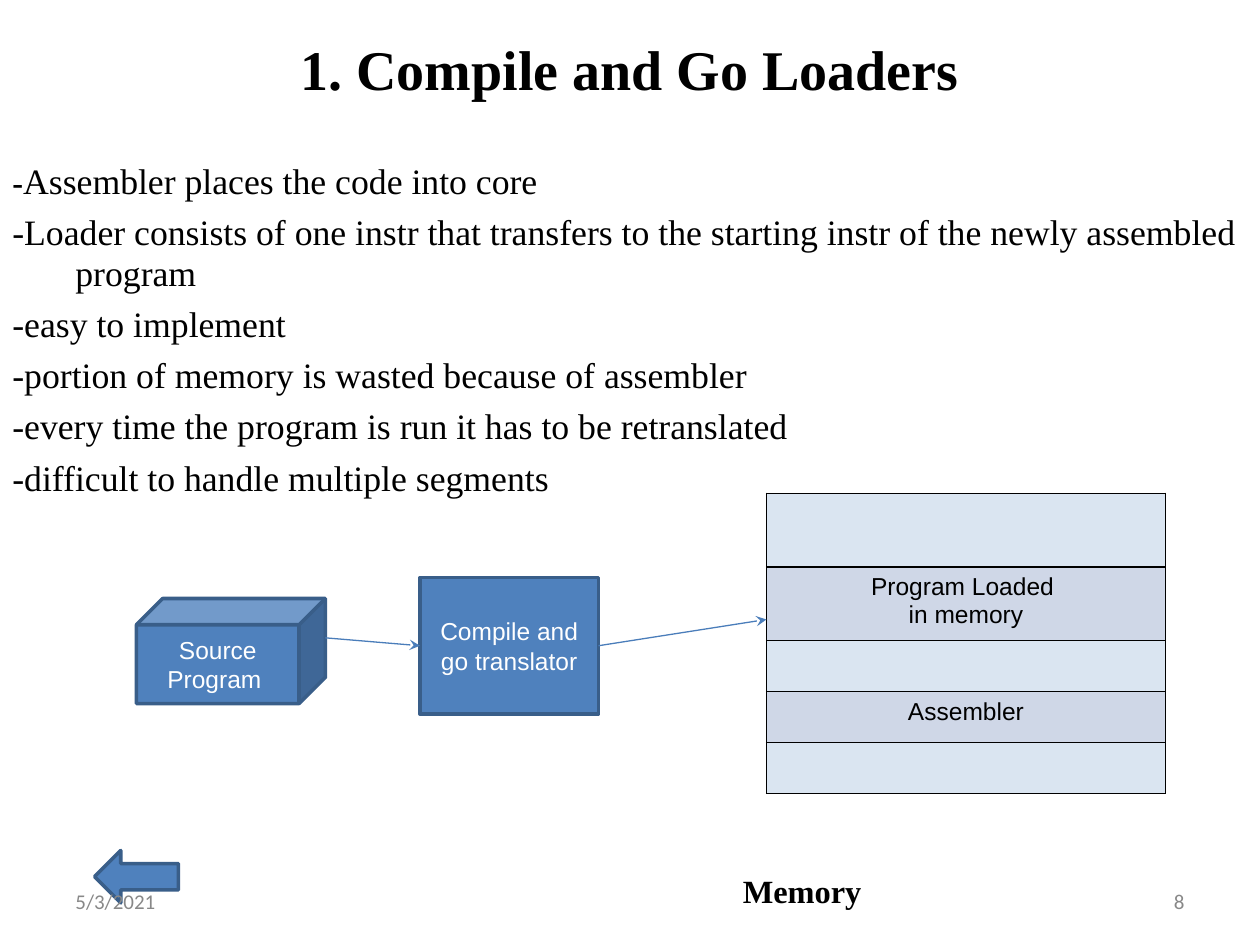
import pptx
import pptx.util
import pptx.dml.color
import pptx.enum.shapes
import pptx.enum.text
import pptx.oxml.ns
import lxml.etree

Pt = pptx.util.Pt
RGBColor = pptx.dml.color.RGBColor
SHAPE = pptx.enum.shapes.MSO_SHAPE
ALIGN = pptx.enum.text.PP_ALIGN
ANCHOR = pptx.enum.text.MSO_ANCHOR
qn = pptx.oxml.ns.qn

BLACK = RGBColor(0x00, 0x00, 0x00)
WHITE = RGBColor(0xFF, 0xFF, 0xFF)
GREY = RGBColor(0x88, 0x88, 0x88)
BLUE = RGBColor(0x4F, 0x81, 0xBD)
OUTLINE = RGBColor(0x39, 0x5E, 0x89)
ARROW = RGBColor(0x4A, 0x7D, 0xBA)
PALE = RGBColor(0xDA, 0xE5, 0xF1)
BAND = RGBColor(0xCF, 0xD7, 0xE7)

SERIF = "Times New Roman"
POINTS = [
    "Assembler places the code into core",
    "-Loader consists of one instr that transfers to the starting instr of the newly assembled program",
    "-easy to implement",
    "-portion of memory is wasted because of assembler",
    "-every time the program is run it has to be retranslated",
    "-difficult to handle multiple segments",
]
MEMORY_ROWS = [
    (42, []),
    (42, ["Program Loaded ", "in memory"]),
    (29.2, []),
    (29.2, ["Assembler"]),
    (29.2, []),
]


def style(paragraph, size, name, color, align=ALIGN.LEFT, bold=False):
    paragraph.alignment = align
    font = paragraph.font
    font.size, font.name, font.bold = Pt(size), name, bold
    font.color.rgb = color


def add_label(slide, box, text, *look, anchor=ANCHOR.MIDDLE, **options):
    frame = slide.shapes.add_textbox(*map(Pt, box)).text_frame
    frame.word_wrap = True
    frame.vertical_anchor = anchor
    frame.text = text
    style(frame.paragraphs[0], *look, **options)


def add_points(slide, box):
    frame = slide.shapes.add_textbox(*map(Pt, box)).text_frame
    frame.word_wrap = True
    for index, text in enumerate(POINTS):
        paragraph = frame.paragraphs[0] if index == 0 else frame.add_paragraph()
        properties = paragraph._p.get_or_add_pPr()
        properties.set("marL", str(Pt(36)))
        properties.set("indent", str(-Pt(36)))
        style(paragraph, 20.4, SERIF, BLACK)
        paragraph.line_spacing = 0.95
        if index == 0:
            dash = paragraph.add_run()
            dash.text = "-"
            dash.font.size, dash.font.bold = Pt(18.5), True
        else:
            paragraph.space_before = Pt(6)
        paragraph.add_run().text = text


def add_block(slide, kind, box, text=""):
    shape = slide.shapes.add_shape(kind, *map(Pt, box))
    shape.shadow.inherit = False
    shape.fill.solid()
    shape.fill.fore_color.rgb = BLUE
    shape.line.color.rgb = OUTLINE
    shape.line.width = Pt(2)
    if text:
        shape.text_frame.text = text
        shape.text_frame.word_wrap = True
        shape.text_frame.vertical_anchor = ANCHOR.MIDDLE
        style(shape.text_frame.paragraphs[0], 14, "Arial", WHITE, ALIGN.CENTER)


def add_arrow(slide, start, end):
    connector = slide.shapes.add_connector(
        pptx.enum.shapes.MSO_CONNECTOR.STRAIGHT, *map(Pt, start + end))
    connector.line.color.rgb = ARROW
    connector.line.width = Pt(0.75)
    line = connector.line._get_or_add_ln()
    lxml.etree.SubElement(line, qn("a:tailEnd"), type="stealth")
    lxml.etree.SubElement(connector._element.spPr, qn("a:effectLst"))


def add_borders(cell):
    properties = cell._tc.get_or_add_tcPr()
    for index, side in enumerate(("lnL", "lnR", "lnT", "lnB")):
        border = lxml.etree.Element(qn("a:" + side), w=str(Pt(1)))
        fill = lxml.etree.SubElement(border, qn("a:solidFill"))
        lxml.etree.SubElement(fill, qn("a:srgbClr"), val=str(BLACK))
        properties.insert(index, border)


def add_memory(slide, left, top, width):
    height = sum(row_height for row_height, _ in MEMORY_ROWS)
    table = slide.shapes.add_table(
        len(MEMORY_ROWS), 1, *map(Pt, (left, top, width, height))).table
    table.first_row = False
    table.horz_banding = False
    for index, (row_height, lines) in enumerate(MEMORY_ROWS):
        table.rows[index].height = Pt(row_height)
        cell = table.cell(index, 0)
        cell.fill.solid()
        cell.fill.fore_color.rgb = BAND if lines else PALE
        add_borders(cell)
        cell.text = "\n".join(lines)
        for paragraph in cell.text_frame.paragraphs:
            style(paragraph, 14, "Arial", BLACK, ALIGN.CENTER)


def add_diagram(slide, left, top):
    add_block(slide, SHAPE.CUBE, (left, top + 60, 108, 60), "Source Program ")
    add_block(slide, SHAPE.RECTANGLE, (left + 162, top + 48, 102, 78),
              "Compile and go translator")
    add_memory(slide, left + 360, top, 228)
    add_arrow(slide, (left + 264, top + 87), (left + 360, top + 72))
    add_arrow(slide, (left + 108, top + 82.5), (left + 162, top + 87))


def add_footer(slide, top):
    add_block(slide, SHAPE.LEFT_ARROW, (54, top - 14.4, 48, 30))
    add_label(slide, (36, top, 168, 28.8), "5/3/2021", 12, "Calibri", GREY)
    add_label(slide, (516, top, 168, 28.8), "8", 12, "Calibri", GREY, ALIGN.RIGHT)


def main():
    presentation = pptx.Presentation()
    presentation.slide_width, presentation.slide_height = Pt(720), Pt(540)
    slide = presentation.slides.add_slide(presentation.slide_layouts[6])
    add_label(slide, (54, 18, 612, 42), "1. Compile and Go Loaders",
              32, SERIF, BLACK, ALIGN.CENTER, bold=True)
    add_points(slide, (0, 88.8, 720, 180))
    add_label(slide, (417.4, 494, 120, 28.8), "Memory", 18.5, SERIF, BLACK,
              anchor=ANCHOR.TOP, bold=True)
    add_diagram(slide, 78, 282)
    add_footer(slide, 500.4)
    presentation.save("out.pptx")


if __name__ == "__main__":
    main()
